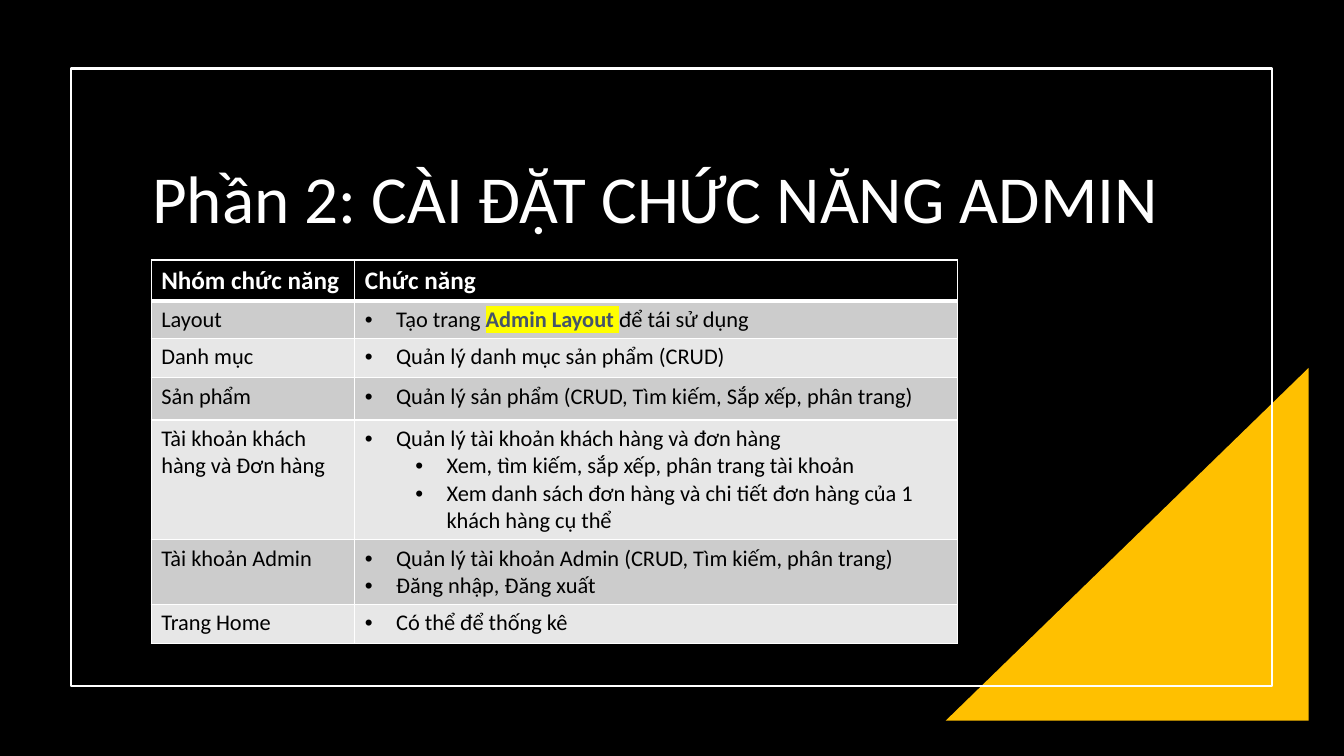
from dataclasses import dataclass

from lxml.etree import SubElement
from pptx import Presentation
from pptx.dml.color import RGBColor
from pptx.enum.shapes import MSO_SHAPE
from pptx.enum.text import MSO_ANCHOR, MSO_AUTO_SIZE, PP_ALIGN
from pptx.oxml import parse_xml
from pptx.oxml.ns import nsdecls, qn
from pptx.shapes.autoshape import Shape
from pptx.slide import Slide
from pptx.table import _Cell
from pptx.text.text import _Paragraph, _Run
from pptx.util import Inches, Pt

FONT = "Calibri"
BLACK, WHITE, GOLD = "000000", "FFFFFF", "FFC000"
SLATE, YELLOW = "44546A", "FFFF00"
BANDS = ("CCCCCC", "E7E7E7")
COLUMN_WIDTHS = (2.02, 5.98)
HEADINGS = ("Nhóm chức năng", "Chức năng")
HEADING_HEIGHT = 0.37


@dataclass(frozen=True)
class Feature:
    text: str
    level: int = 0
    marked: str = ""


@dataclass(frozen=True)
class FeatureGroup:
    name: str
    height: float
    features: tuple[Feature, ...]


GROUPS = (
    FeatureGroup("Layout", 0.37, (
        Feature("Tạo trang Admin Layout để tái sử dụng", marked="Admin Layout "),
    )),
    FeatureGroup("Danh mục", 0.39, (Feature("Quản lý danh mục sản phẩm (CRUD)"),)),
    FeatureGroup("Sản phẩm", 0.42, (
        Feature("Quản lý sản phẩm (CRUD, Tìm kiếm, Sắp xếp, phân trang)"),
    )),
    FeatureGroup("Tài khoản khách hàng và Đơn hàng", 1.17, (
        Feature("Quản lý tài khoản khách hàng và đơn hàng"),
        Feature("Xem, tìm kiếm, sắp xếp, phân trang tài khoản", level=1),
        Feature("Xem danh sách đơn hàng và chi tiết đơn hàng của 1 khách hàng cụ thể", level=1),
    )),
    FeatureGroup("Tài khoản Admin", 0.64, (
        Feature("Quản lý tài khoản Admin (CRUD, Tìm kiếm, phân trang)"),
        Feature("Đăng nhập, Đăng xuất"),
    )),
    FeatureGroup("Trang Home", 0.39, (Feature("Có thể để thống kê"),)),
)


def rgb(color: str) -> RGBColor:
    return RGBColor.from_string(color)


def format_run(run: _Run, size: float, color: str, bold: bool = False) -> None:
    run.font.size = Pt(size)
    run.font.name = FONT
    run.font.bold = bold
    run.font.color.rgb = rgb(color)


def highlight(run: _Run, color: str) -> None:
    """Mark a run whose font colour is already set."""
    mark = parse_xml(f'<a:highlight {nsdecls("a")}><a:srgbClr val="{color}"/></a:highlight>')
    run.font._element.find(qn("a:solidFill")).addnext(mark)


def add_panel(slide: Slide, kind: MSO_SHAPE, left: float, top: float,
              width: float, height: float) -> Shape:
    panel = slide.shapes.add_shape(kind, Inches(left), Inches(top), Inches(width), Inches(height))
    panel.shadow.inherit = False
    return panel


def add_backdrop(slide: Slide) -> None:
    slide.background.fill.solid()
    slide.background.fill.fore_color.rgb = rgb(BLACK)

    corner = add_panel(slide, MSO_SHAPE.RIGHT_TRIANGLE, 9.38, 3.65, 3.6, 3.5)
    corner.element.spPr.get_or_add_xfrm().set("flipH", "1")
    corner.fill.solid()
    corner.fill.fore_color.rgb = rgb(GOLD)
    corner.line.fill.background()

    border = add_panel(slide, MSO_SHAPE.RECTANGLE, 0.7, 0.68, 11.92, 6.13)
    border.fill.background()
    border.line.color.rgb = rgb(WHITE)
    border.line.width = Pt(1.5)


def write_title(slide: Slide, text: str) -> None:
    title = slide.shapes.title
    title.left, title.top = Inches(1.41), Inches(1.1)
    title.width, title.height = Inches(10.84), Inches(1.31)
    frame = title.text_frame
    frame.text = text
    frame.word_wrap = True
    frame.auto_size = MSO_AUTO_SIZE.NONE
    frame.vertical_anchor = MSO_ANCHOR.BOTTOM
    heading = frame.paragraphs[0]
    heading.alignment = PP_ALIGN.LEFT
    heading.line_spacing = 0.9
    format_run(heading.runs[0], 48, WHITE)


def style_cell(cell: _Cell, fill: str, top: float = 1, bottom: float = 1) -> None:
    """Fill a cell and rule it in white; top and bottom are line widths in points."""
    cell.fill.solid()
    cell.fill.fore_color.rgb = rgb(fill)
    properties = cell._tc.get_or_add_tcPr()
    for index, (side, width) in enumerate((("L", 1), ("R", 1), ("T", top), ("B", bottom))):
        properties.insert(index, parse_xml(
            f'<a:ln{side} {nsdecls("a")} w="{Pt(width)}"><a:solidFill>'
            f'<a:srgbClr val="{WHITE}"/></a:solidFill></a:ln{side}>'))


def write_label(cell: _Cell, text: str, size: float, color: str, bold: bool = False) -> None:
    cell.text_frame.text = text
    format_run(cell.text_frame.paragraphs[0].runs[0], size, color, bold)


def write_feature(paragraph: _Paragraph, feature: Feature) -> None:
    paragraph.level = feature.level
    properties = paragraph._p.get_or_add_pPr()
    properties.set("marL", str(Inches(0.31 + 0.5 * feature.level)))
    properties.set("indent", str(Inches(-0.31)))
    SubElement(properties, qn("a:buFont")).set("typeface", "Arial")
    SubElement(properties, qn("a:buChar")).set("char", "•")

    parts = feature.text.partition(feature.marked) if feature.marked else (feature.text,)
    for part in parts:
        run = paragraph.add_run()
        run.text = part
        marked = part == feature.marked
        format_run(run, 16, SLATE if marked else BLACK, marked)
        if marked:
            highlight(run, YELLOW)


def add_feature_table(slide: Slide) -> None:
    heights = (HEADING_HEIGHT, *(group.height for group in GROUPS))
    table = slide.shapes.add_table(
        len(heights), len(COLUMN_WIDTHS), Inches(1.5), Inches(2.58),
        Inches(sum(COLUMN_WIDTHS)), Inches(sum(heights))).table
    for column, width in zip(table.columns, COLUMN_WIDTHS):
        column.width = Inches(width)
    for row, height in zip(table.rows, heights):
        row.height = Inches(height)

    for column, heading in enumerate(HEADINGS):
        cell = table.cell(0, column)
        style_cell(cell, BLACK, bottom=3)
        write_label(cell, heading, 18, WHITE, bold=True)

    for row, group in enumerate(GROUPS, start=1):
        name_cell, features_cell = table.cell(row, 0), table.cell(row, 1)
        for cell in (name_cell, features_cell):
            style_cell(cell, BANDS[(row - 1) % 2], top=3 if row == 1 else 1)
        write_label(name_cell, group.name, 16, BLACK)
        frame = features_cell.text_frame
        for index, feature in enumerate(group.features):
            write_feature(frame.add_paragraph() if index else frame.paragraphs[0], feature)


def main() -> None:
    presentation = Presentation()
    presentation.slide_width, presentation.slide_height = Inches(13.33), Inches(7.5)
    slide = presentation.slides.add_slide(presentation.slide_layouts[5])
    add_backdrop(slide)
    write_title(slide, "Phần 2: CÀI ĐẶT CHỨC NĂNG ADMIN")
    add_feature_table(slide)
    presentation.save("out.pptx")


if __name__ == "__main__":
    main()
